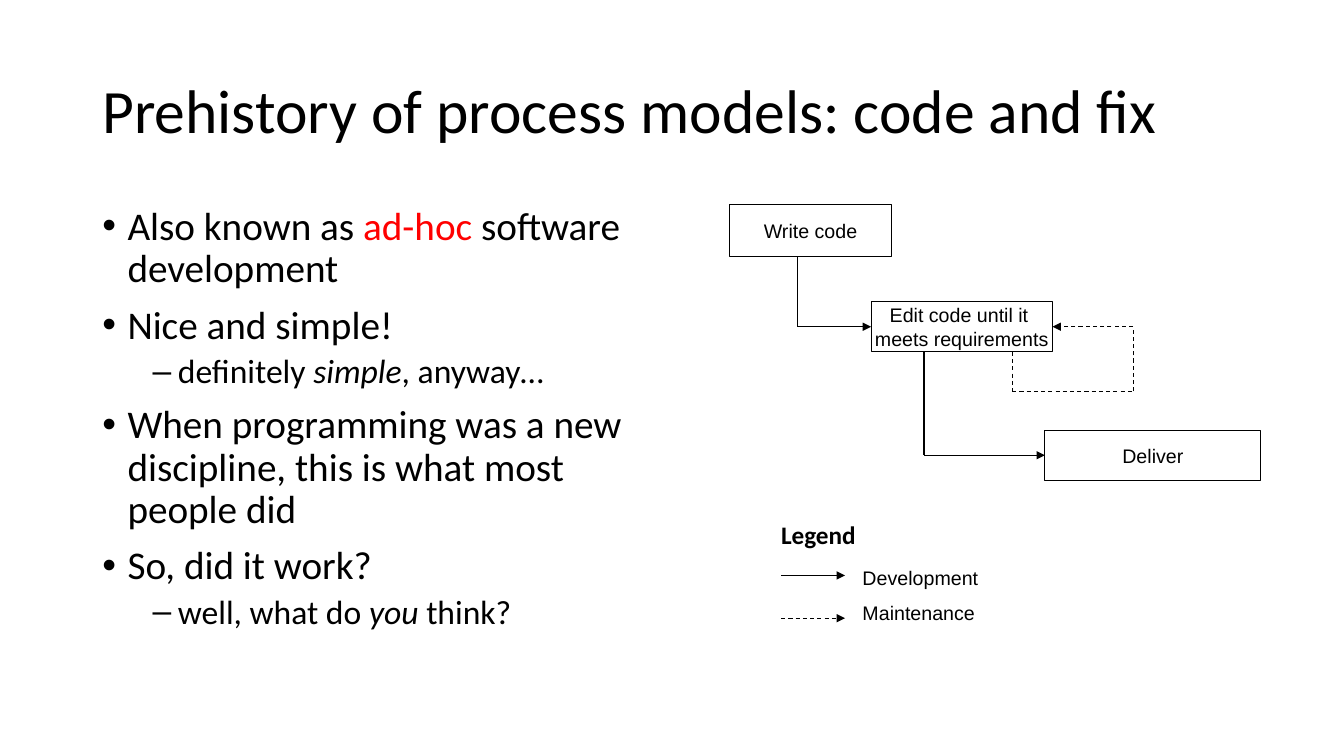
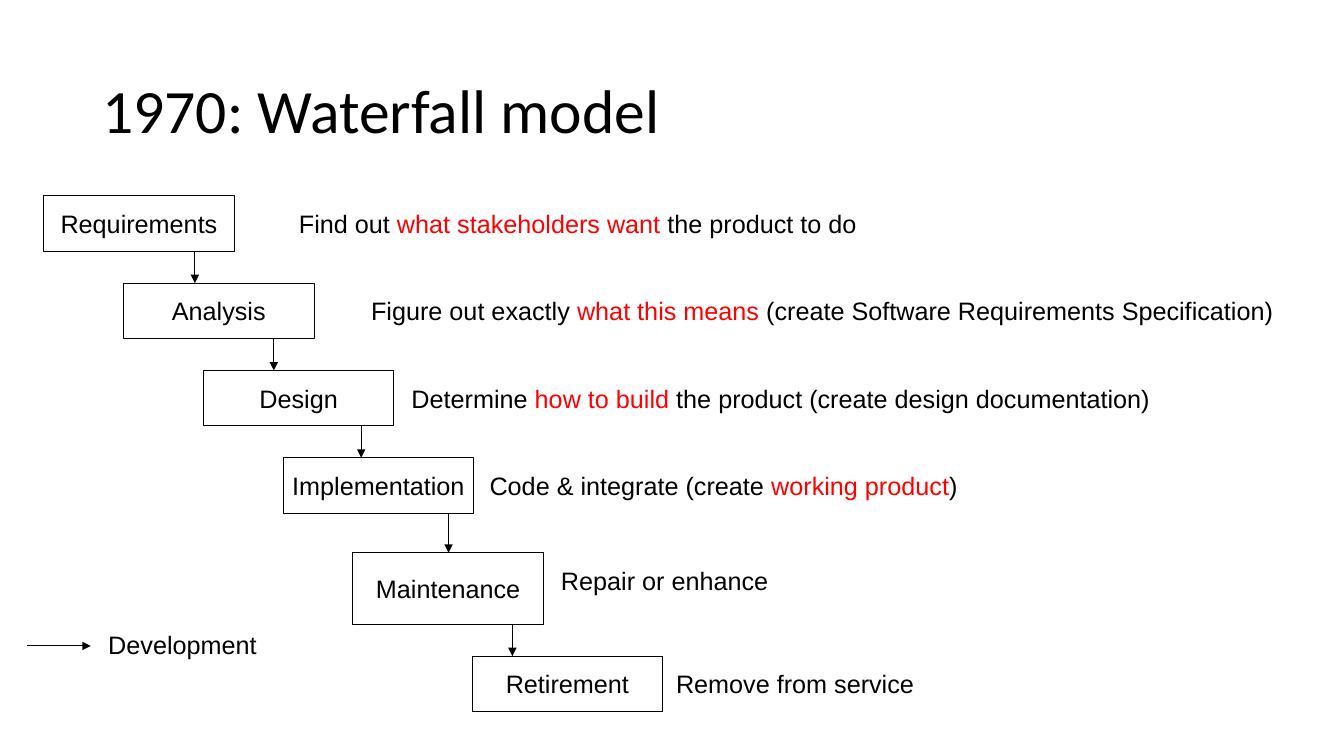
import dataclasses
import itertools

import lxml.etree
import pptx
import pptx.dml.color
import pptx.enum.dml
import pptx.enum.shapes
import pptx.enum.text
import pptx.oxml.ns
import pptx.util

COLUMNS, ROWS = 160, 90
LEFT_SIDE, RIGHT_SIDE = 1, 3


@dataclasses.dataclass(frozen=True)
class Theme:
    width = pptx.util.Inches(13.33)
    height = pptx.util.Inches(7.5)
    ink = pptx.dml.color.RGBColor.from_string("000000")
    accent = pptx.dml.color.RGBColor.from_string("FF0000")
    heading_font = "Calibri"
    diagram_font = "Arial"
    title_size = 44
    level_sizes = (28, 24)
    large_size = 18
    small_size = 14
    line_width = pptx.util.Pt(0.75)


THEME = Theme()


def across(columns):
    return round(THEME.width * columns / COLUMNS)


def down(rows):
    return round(THEME.height * rows / ROWS)


def place(left, top, width, height):
    return across(left), down(top), across(width), down(height)


def apply(target, **values):
    for name, value in values.items():
        setattr(target, name, value)


def add_element(parent, tag, **attributes):
    return lxml.etree.SubElement(parent, pptx.oxml.ns.qn(tag), attributes)


def accent(text):
    return text, {"color": THEME.accent}


def italic(text):
    return text, {"italic": True}


def write(para, spans, font, size, **formats):
    """Fill a paragraph with spans, each plain text or a (text, formats) pair."""
    for span in spans:
        text, own = (span, {}) if isinstance(span, str) else span
        values = {"color": THEME.ink, **formats, **own}
        run = para.add_run()
        run.text = text
        run.font.color.rgb = values.pop("color")
        apply(run.font, name=font, size=pptx.util.Pt(size), **values)


def add_text_frame(page, *area):
    frame = page.shapes.add_textbox(*place(*area)).text_frame
    frame.word_wrap = True
    return frame


def add_page(deck, title):
    page = deck.slides.add_slide(deck.slide_layouts[6])
    frame = add_text_frame(page, 11, 4.8, 138, 17.4)
    frame.vertical_anchor = pptx.enum.text.MSO_ANCHOR.MIDDLE
    para = frame.paragraphs[0]
    para.line_spacing = 0.9
    write(para, [title], THEME.heading_font, THEME.title_size)
    return page


def add_bullets(page, area, items):
    """Add a list of (level, spans) items as a two-level bulleted text."""
    frame = add_text_frame(page, *area)
    for index, (level, spans) in enumerate(items):
        para = frame.add_paragraph() if index else frame.paragraphs[0]
        apply(para, level=level, line_spacing=0.9,
              space_before=pptx.util.Pt((10, 5)[level]))
        properties = para._p.get_or_add_pPr()
        properties.set("marL", str(pptx.util.Inches((0.25, 0.75)[level])))
        properties.set("indent", str(-pptx.util.Inches(0.25)))
        add_element(properties, "a:buFont", typeface="Arial")
        add_element(properties, "a:buChar", char="•–"[level])
        write(para, spans, THEME.heading_font, THEME.level_sizes[level])


def add_label(page, left, top, spans, size, font=THEME.diagram_font, **formats):
    """Add one line of text that may run to the right edge of the slide."""
    frame = add_text_frame(page, left, top, COLUMNS - left - 1, 4.8)
    write(frame.paragraphs[0], spans, font, size, **formats)


def add_box(page, area, lines, size):
    box = page.shapes.add_shape(
        pptx.enum.shapes.MSO_SHAPE.RECTANGLE, *place(*area))
    box.shadow.inherit = False
    box.fill.background()
    box.line.color.rgb = THEME.ink
    box.line.width = THEME.line_width
    frame = box.text_frame
    apply(frame, word_wrap=False,
          vertical_anchor=pptx.enum.text.MSO_ANCHOR.MIDDLE)
    for index, line in enumerate(lines):
        para = frame.add_paragraph() if index else frame.paragraphs[0]
        para.alignment = pptx.enum.text.PP_ALIGN.CENTER
        write(para, [line], THEME.diagram_font, size)
    return box


def add_route(page, points, dashed=False, target=None, side=None):
    """Draw straight lines through points, with an arrowhead at the last one."""
    for (x1, y1), (x2, y2) in itertools.pairwise(points):
        line = page.shapes.add_connector(
            pptx.enum.shapes.MSO_CONNECTOR.STRAIGHT,
            across(x1), down(y1), across(x2), down(y2))
        line.line.color.rgb = THEME.ink
        line.line.width = THEME.line_width
        if dashed:
            line.line.dash_style = pptx.enum.dml.MSO_LINE.DASH
        add_element(line._element.spPr, "a:effectLst")
    add_element(line.line._get_or_add_ln(), "a:tailEnd", type="triangle")
    if target is not None:
        line.end_connect(target, side)


def add_key(page, left, row, text_top, name, size, dashed=False):
    end = left + 7.6
    add_route(page, [(left, row), (end, row)], dashed)
    add_label(page, end + 0.9, text_top, [name], size)


def build_code_and_fix(deck):
    page = add_page(deck, "Prehistory of process models: code and fix")
    add_bullets(page, (11, 24, 70.8, 57.1), [
        (0, ["Also known as ", accent("ad-hoc"), " software development"]),
        (0, ["Nice and simple!"]),
        (1, ["definitely ", italic("simple"), ", anyway…"]),
        (0, ["When programming was a new discipline, "
             "this is what most people did"]),
        (0, ["So, did it work?"]),
        (1, ["well, what do ", italic("you"), " think?"]),
    ])

    size = THEME.small_size
    write_bottom, edit_left, edit_right = 30.6, 103.7, 125.3
    edit_middle, edit_bottom = 38.9, 41.9
    deliver_left, deliver_middle = 124.4, 54.2
    add_box(page, (86.9, 24.4, 19.2, 6.2), ["Write code"], size)
    edit = add_box(page, (edit_left, 35.9, 21.6, 6),
                   ["Edit code until it ", "meets requirements"], size)
    deliver = add_box(page, (deliver_left, 51.2, 25.7, 6), ["Deliver"], size)

    add_route(page, [(94.9, write_bottom), (94.9, edit_middle),
                     (edit_left, edit_middle)],
              target=edit, side=LEFT_SIDE)
    add_route(page, [(110, edit_bottom), (110, deliver_middle),
                     (deliver_left, deliver_middle)],
              target=deliver, side=LEFT_SIDE)
    add_route(page, [(120.5, edit_bottom), (120.5, 46.6), (134.9, 46.6),
                     (134.9, edit_middle), (edit_right, edit_middle)],
              dashed=True, target=edit, side=RIGHT_SIDE)

    add_label(page, 91.8, 61.2, ["Legend"], THEME.large_size,
              THEME.heading_font, bold=True)
    add_key(page, 93, 68.5, 66.8, "Development", size)
    add_key(page, 93, 73.6, 71, "Maintenance", size, dashed=True)


def build_waterfall(deck):
    page = add_page(deck, "1970: Waterfall model")
    size = THEME.large_size
    stair = [(5.2 + 9.5 * step, 23.3 + 10.4 * step, 6.6) for step in range(4)]
    stair += [(42, 65.8, 8.5), (56.2, 78.1, 6.6)]
    phases = [
        ("Requirements", 34.4, ["Find out ", accent("what stakeholders want "),
                                "the product to do"]),
        ("Analysis", 43, ["Figure out exactly ", accent("what this means "),
                          "(create Software Requirements Specification)"]),
        ("Design", 47.8, ["Determine ", accent("how to build "),
                          "the product (create design documentation)"]),
        ("Implementation", 57.1, ["Code & integrate (create ",
                                  accent("working product"), ")"]),
        ("Maintenance", 65.6, ["Repair or enhance"]),
        ("Retirement", 79.3, ["Remove from service"]),
    ]
    for (left, top, height), (name, text_left, spans) in zip(stair, phases):
        add_box(page, (left, top, 22.7, height), [name], size)
        add_label(page, text_left, top + 0.9, spans, size)

    arrow_columns = (23.2, 32.6, 43, 53.4, 61)
    for column, (upper, lower) in zip(arrow_columns, itertools.pairwise(stair)):
        add_route(page, [(column, upper[1] + upper[2]), (column, lower[1])])
    add_key(page, 3.2, 76.9, 74.3, "Development", size)


def main():
    deck = pptx.Presentation()
    apply(deck, slide_width=THEME.width, slide_height=THEME.height)
    build_code_and_fix(deck)
    build_waterfall(deck)
    deck.save("out.pptx")


if __name__ == "__main__":
    main()
